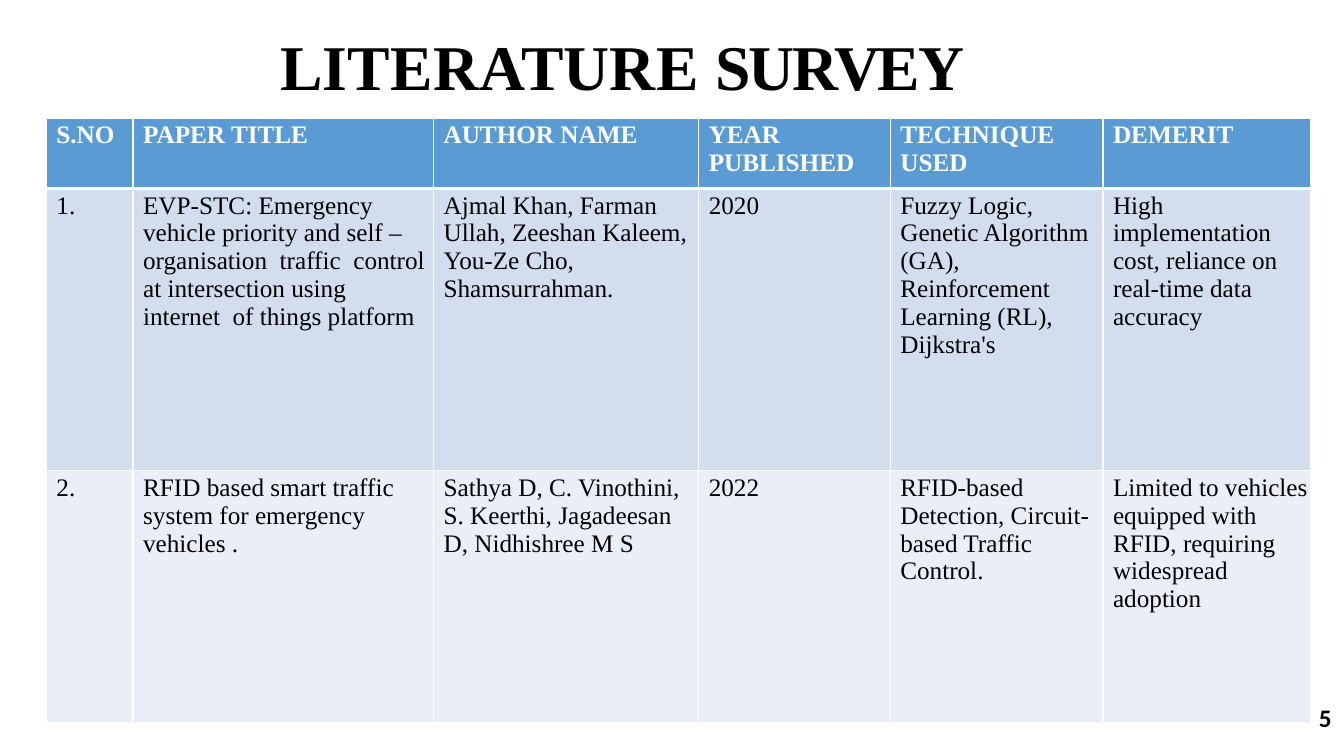
from dataclasses import dataclass

from lxml.etree import SubElement
from pptx import Presentation
from pptx.dml.color import RGBColor as RGB
from pptx.enum.text import MSO_ANCHOR as Anchor
from pptx.oxml.ns import qn
from pptx.util import Inches, Pt


@dataclass(frozen=True)
class Theme:
    serif: str = "Times New Roman"
    sans: str = "Calibri"
    title_size: float = 45.5
    body_size: float = 18
    ink: str = "000000"
    white: str = "FFFFFF"
    header_fill: str = "5B9BD4"
    row_fills: tuple = ("D2DEEE", "EAEEF7")
    thin: float = 1
    thick: float = 3


THEME = Theme()

COLUMN_WIDTHS = (0.86, 2.98, 2.63, 1.9, 2.11, 2.06)
ROW_HEIGHTS = (0.7, 2.8, 2.5)
SURVEY = (
    ("S.NO", "PAPER TITLE", "AUTHOR NAME", "YEAR  PUBLISHED",
     "TECHNIQUE  USED", "DEMERIT"),
    ("1.",
     "EVP-STC: Emergency vehicle priority and self – organisation  traffic  "
     "control at intersection using  internet  of things platform",
     "Ajmal Khan, Farman Ullah, Zeeshan Kaleem, You-Ze Cho, Shamsurrahman.",
     "2020",
     "Fuzzy Logic, Genetic Algorithm (GA), Reinforcement Learning (RL), Dijkstra's",
     "High implementation cost, reliance on real-time data accuracy"),
    ("2.",
     "RFID based smart traffic system for emergency vehicles .",
     "Sathya D, C. Vinothini, S. Keerthi, Jagadeesan D, Nidhishree M S",
     "2022",
     "RFID-based Detection, Circuit-based Traffic Control.",
     "Limited to vehicles equipped with RFID, requiring widespread adoption"),
)


def style_font(font, name, size, color, bold):
    font.name = name
    font.size = Pt(size)
    font.bold = bold
    font.color.rgb = RGB.from_string(color)


def add_text_frame(slide, box, wrap):
    frame = slide.shapes.add_textbox(*map(Inches, box)).text_frame
    frame.word_wrap = wrap
    frame.margin_left = frame.margin_right = 0
    frame.margin_top = frame.margin_bottom = 0
    return frame


def add_title(slide, box):
    frame = add_text_frame(slide, box, True)
    frame.margin_top = Inches(0.02)
    paragraph = frame.paragraphs[0]
    paragraph.space_before = Pt(1.3)
    style_font(paragraph.font, THEME.serif, THEME.title_size, THEME.ink, True)
    for word, spacing in (("LITERATURE ", 20), ("SURVEY", -160)):
        run = paragraph.add_run()
        run.text = word
        run._r.get_or_add_rPr().set("spc", str(spacing))


def add_page_number(slide, box, number):
    frame = add_text_frame(slide, box, False)
    frame.vertical_anchor = Anchor.MIDDLE
    paragraph = frame.paragraphs[0]
    paragraph.text = str(number)
    style_font(paragraph.font, THEME.sans, THEME.body_size, THEME.ink, True)


def set_borders(cell, top, bottom):
    properties = cell._tc.get_or_add_tcPr()
    widths = {"lnL": THEME.thin, "lnR": THEME.thin, "lnT": top, "lnB": bottom}
    for side, width in widths.items():
        line = SubElement(properties, qn(f"a:{side}"), w=str(Pt(width)))
        fill = SubElement(line, qn("a:solidFill"))
        SubElement(fill, qn("a:srgbClr"), val=THEME.white)


def fill_cell(cell, text, row):
    header = row == 0
    set_borders(cell,
                THEME.thick if row == 1 else THEME.thin,
                THEME.thick if header else THEME.thin)
    cell.fill.solid()
    color = THEME.header_fill if header else THEME.row_fills[(row - 1) % 2]
    cell.fill.fore_color.rgb = RGB.from_string(color)
    cell.margin_left = Inches(0.1)
    cell.margin_top = Inches(0.03)
    cell.margin_right = cell.margin_bottom = 0
    paragraph = cell.text_frame.paragraphs[0]
    paragraph.text = text
    paragraph.space_before = Pt(2.2)
    style_font(paragraph.font, THEME.serif, THEME.body_size,
               THEME.white if header else THEME.ink, header)


def add_survey_table(slide, left, top):
    table = slide.shapes.add_table(
        len(ROW_HEIGHTS), len(COLUMN_WIDTHS), Inches(left), Inches(top),
        Inches(sum(COLUMN_WIDTHS)), Inches(sum(ROW_HEIGHTS))).table
    for column, width in zip(table.columns, COLUMN_WIDTHS):
        column.width = Inches(width)
    for row, height in zip(table.rows, ROW_HEIGHTS):
        row.height = Inches(height)
    for row, texts in enumerate(SURVEY):
        for column, text in enumerate(texts):
            fill_cell(table.cell(row, column), text, row)


def main():
    presentation = Presentation()
    presentation.slide_width = Inches(13.33)
    presentation.slide_height = Inches(7.5)
    slide = presentation.slides.add_slide(presentation.slide_layouts[6])
    add_title(slide, (2.78, 0.25, 6.91, 0.79))
    add_survey_table(slide, 0.46, 1.17)
    add_page_number(slide, (13.08, 6.92, 0.13, 0.4), 5)
    presentation.save("out.pptx")


if __name__ == "__main__":
    main()
